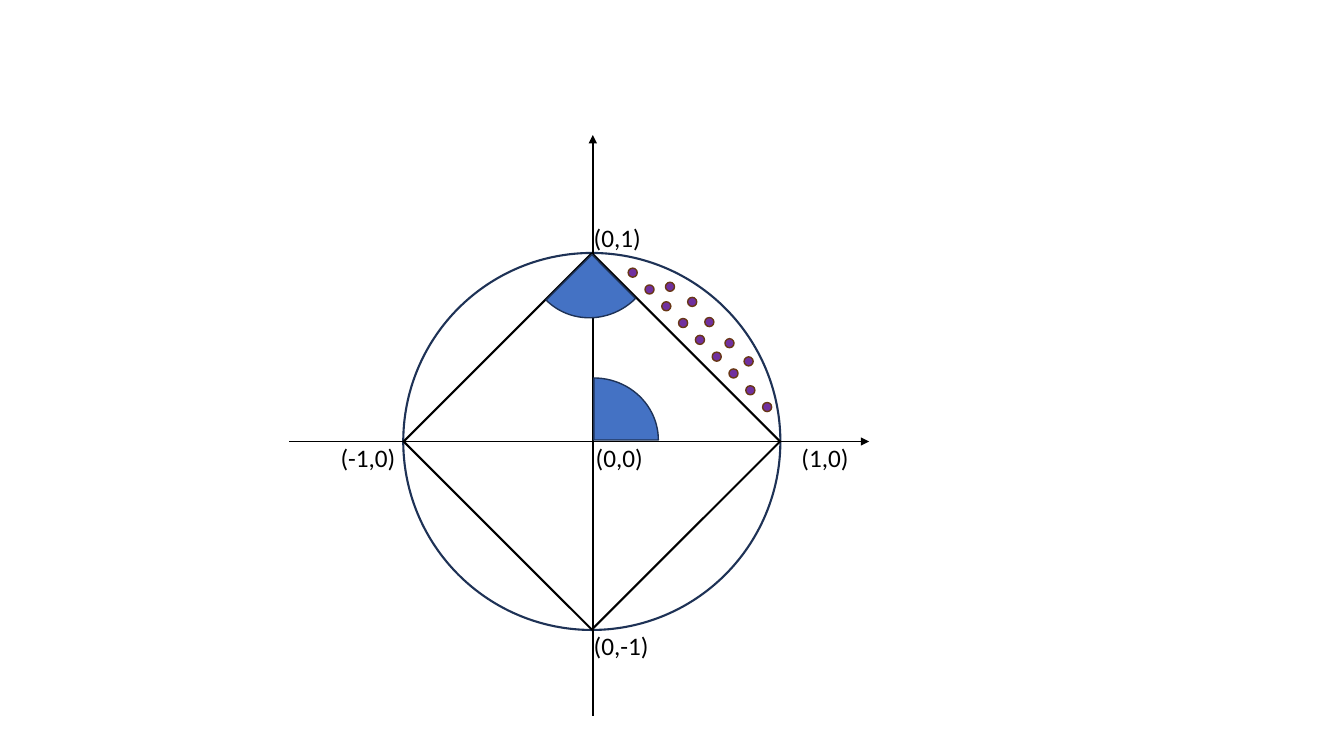
from lxml import etree
from pptx import Presentation
from pptx.dml.color import RGBColor
from pptx.enum.shapes import MSO_CONNECTOR, MSO_SHAPE
from pptx.oxml.ns import qn
from pptx.util import Inches, Pt

OVAL, SQUARE, PIE = MSO_SHAPE.OVAL, MSO_SHAPE.RECTANGLE, MSO_SHAPE.PIE
STRAIGHT = MSO_CONNECTOR.STRAIGHT

BLACK, NAVY, BLUE = "000000", "1E3256", "4472C4"
PURPLE, BROWN = "7030A0", "683715"

CENTER_X, CENTER_Y = 5.87, 4.38
CIRCLE_SIZE, SQUARE_SIZE, DOT_SIZE = 3.74, 2.64, 0.09
SECTOR_WIDTH, SECTOR_HEIGHT = 1.28, 1.23
QUARTER_TURN = (108, 162)  # 180 and 270 degrees

AXES = [((2.87, 4.38), (8.62, 4.38)), ((5.88, 7.1), (5.88, 1.34))]
POINT_LABELS = [
    ("(0,0)", 5.81, 4.34, 0.69),
    ("(-1,0)", 3.28, 4.34, 0.82),
    ("(1,0)", 7.85, 4.34, 0.69),
    ("(0,-1)", 5.79, 6.2, 0.77),
    ("(0,1)", 5.79, 2.16, 0.69),
]
ANGLE_SECTORS = [(5.89, 4.365, 0), (5.87, 2.525, 135.2)]  # apex x, apex y, rotation
CHORD_DOTS, CHORD_START, CHORD_STEP = 9, (6.23, 2.66), 1 / 6
ARC_DOTS = [(6.6, 2.8), (6.82, 2.95), (6.99, 3.15), (7.19, 3.36), (7.38, 3.54)]


def color(hex_string):
    return RGBColor.from_string(hex_string)


def add_figure(shapes, kind, box, line, weight, fill=None, rotation=0):
    figure = shapes.add_shape(kind, *map(Inches, box))
    figure.shadow.inherit = False
    figure.rotation = rotation
    if fill:
        figure.fill.solid()
        figure.fill.fore_color.rgb = color(fill)
    else:
        figure.fill.background()
    figure.line.color.rgb = color(line)
    figure.line.width = Pt(weight)
    return figure


def centered(x, y, width, height):
    return x - width / 2, y - height / 2, width, height


def add_axis(shapes, start, end):
    axis = shapes.add_connector(STRAIGHT, *map(Inches, start + end))
    axis.line.color.rgb = color(BLACK)
    axis.line.width = Pt(1)
    etree.SubElement(axis.line._get_or_add_ln(), qn("a:tailEnd"), type="triangle")
    etree.SubElement(axis._element.spPr, qn("a:effectLst"))


def add_label(shapes, text, left, top, width):
    label = shapes.add_textbox(*map(Inches, (left, top, width, 0.4)))
    label.text_frame.word_wrap = True
    paragraph = label.text_frame.paragraphs[0]
    paragraph.text = text
    font = paragraph.runs[0].font
    for name, value in {"name": "Calibri", "size": Pt(18)}.items():
        setattr(font, name, value)
    font.color.rgb = color(BLACK)


def add_sector(shapes, x, y, rotation):
    sector = add_figure(shapes, PIE, centered(x, y, SECTOR_WIDTH, SECTOR_HEIGHT),
                        NAVY, 1, BLUE, rotation)
    for index, angle in enumerate(QUARTER_TURN):
        sector.adjustments[index] = angle
    sector._element.spPr.find(qn("a:xfrm")).set("flipH", "1")


def main():
    deck = Presentation()
    deck.slide_width, deck.slide_height = Inches(13.33), Inches(7.5)
    shapes = deck.slides.add_slide(deck.slide_layouts[6]).shapes

    add_figure(shapes, OVAL, centered(CENTER_X, CENTER_Y, CIRCLE_SIZE, CIRCLE_SIZE), NAVY, 1.5)
    add_figure(shapes, SQUARE, centered(CENTER_X, CENTER_Y, SQUARE_SIZE, SQUARE_SIZE),
               BLACK, 1.5, rotation=45)
    for start, end in AXES:
        add_axis(shapes, start, end)
    for label in POINT_LABELS:
        add_label(shapes, *label)
    for sector in ANGLE_SECTORS:
        add_sector(shapes, *sector)

    first_x, first_y = CHORD_START
    chord_dots = [(first_x + i * CHORD_STEP, first_y + i * CHORD_STEP) for i in range(CHORD_DOTS)]
    for x, y in chord_dots + ARC_DOTS:
        add_figure(shapes, OVAL, (x, y, DOT_SIZE, DOT_SIZE), BROWN, 1, PURPLE)

    deck.save("out.pptx")


if __name__ == "__main__":
    main()
